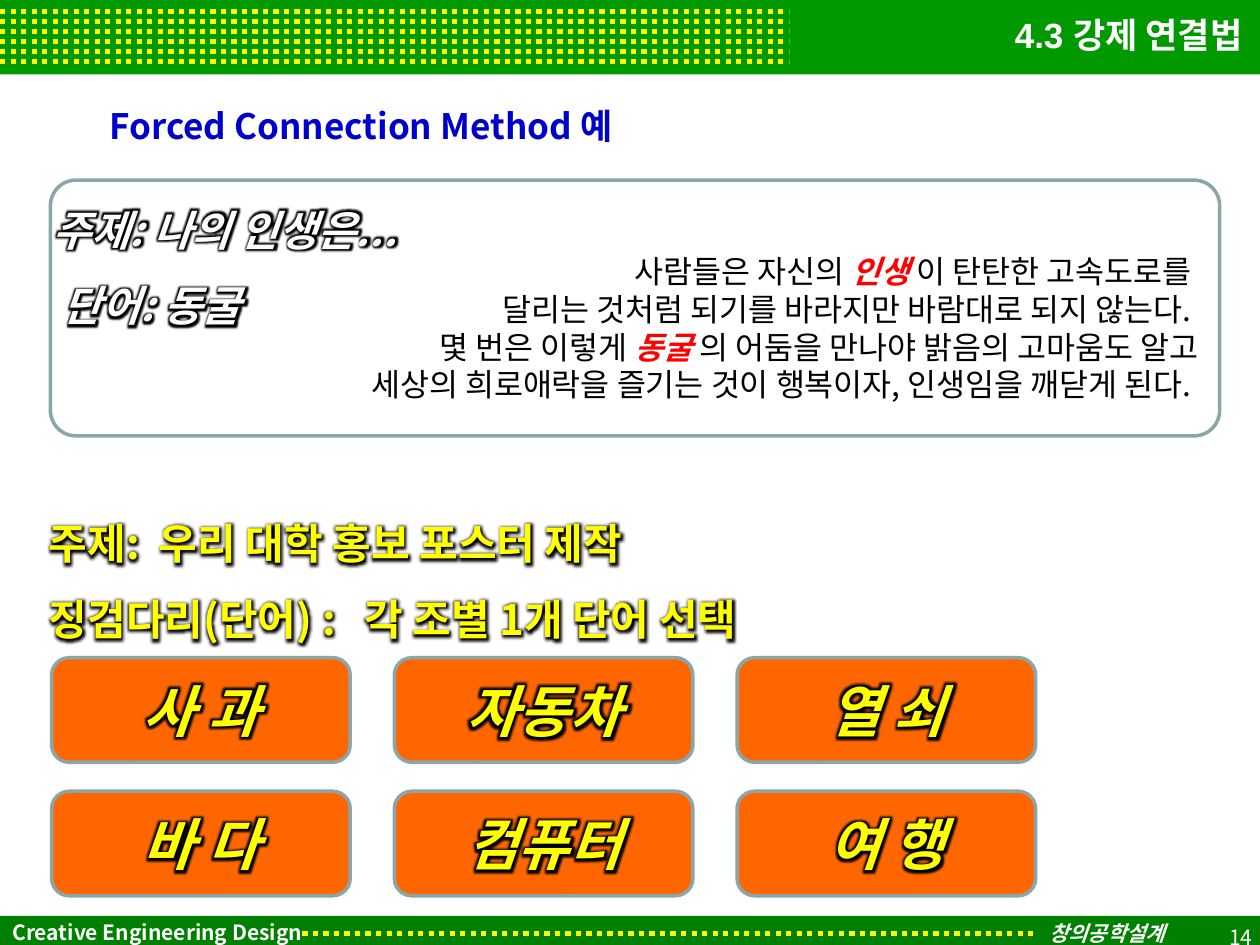
from lxml import etree
from pptx import Presentation
from pptx.dml.color import RGBColor
from pptx.enum import dml, shapes, text
from pptx.oxml import ns
from pptx.util import Inches, Pt

GREEN = RGBColor(0x00, 0x99, 0x00)
DARK = RGBColor(0x00, 0x80, 0x00)
YELLOW = RGBColor(0xFF, 0xFF, 0x00)
WHITE = RGBColor(0xFF, 0xFF, 0xFF)
BLACK = RGBColor(0x00, 0x00, 0x00)
BLUE = RGBColor(0x00, 0x00, 0xCC)
RED = RGBColor(0xFF, 0x00, 0x00)
ORANGE = RGBColor(0xFF, 0x66, 0x00)
GREY = RGBColor(0x8A, 0xA6, 0xA8)
NOTO = "Noto Sans CJK KR"
LEFT, MID, RIGHT = text.PP_ALIGN.LEFT, text.PP_ALIGN.CENTER, text.PP_ALIGN.RIGHT
RECT, ROUND = shapes.MSO_SHAPE.RECTANGLE, shapes.MSO_SHAPE.ROUNDED_RECTANGLE


class Deck:
    def __init__(self, slide, edge=GREY, glow=0.1):
        self.slide, self.edge, self.glow = slide, edge, glow

    def shape(self, kind, box, fill, line=False, adj=None):
        item = self.slide.shapes.add_shape(kind, *map(Inches, box))
        item.shadow.inherit = False
        item.fill.solid()
        item.fill.fore_color.rgb = fill
        if line:
            item.line.color.rgb = self.edge
            item.line.width = Pt(2)
        else:
            item.line.fill.background()
        if adj:
            item.adjustments[0] = adj
        return item

    def dots(self, left, right, y):
        line = self.slide.shapes.add_connector(
            shapes.MSO_CONNECTOR.STRAIGHT, *map(Inches, (left, y, right, y)))
        line.line.color.rgb = YELLOW
        line.line.width = Pt(3)
        line.line.dash_style = dml.MSO_LINE.ROUND_DOT
        etree.SubElement(line.element.spPr, ns.qn("a:effectLst"))

    def label(self, box, *lines, middle=False, **style):
        item = self.slide.shapes.add_textbox(*map(Inches, box))
        self.words(item, *lines, middle=middle, **style)
        return item

    def words(self, item, *lines, size, color, font=NOTO, bold=False, italic=False,
              align=LEFT, space=None, middle=True, glow=False):
        """Fill a shape with lines; a line is a string or a list of (part, is_key)."""
        frame = item.text_frame
        frame.word_wrap = True
        frame.vertical_anchor = text.MSO_ANCHOR.MIDDLE if middle else text.MSO_ANCHOR.TOP
        for i, line in enumerate(lines):
            para = frame.paragraphs[0] if i == 0 else frame.add_paragraph()
            para.alignment = align
            if space:
                para.line_spacing = space
            face = para.font
            face.size, face.bold, face.italic, face.name = Pt(size), bold, italic, font
            face.color.rgb = color
            base = para._p.pPr.find(ns.qn("a:defRPr"))
            etree.SubElement(base, ns.qn("a:ea"), typeface=NOTO)
            for part, key in [(line, False)] if isinstance(line, str) else line:
                run = para.add_run()
                run.text = part
                if key:
                    run.font.color.rgb = RED
                    run.font.bold = run.font.italic = True
                if glow:
                    self.shine(run)

    def shine(self, run):
        """Put a black glow behind a run."""
        effect = etree.SubElement(run._r.get_or_add_rPr(), ns.qn("a:effectLst"))
        halo = etree.SubElement(effect, ns.qn("a:glow"), rad=str(Inches(self.glow)))
        etree.SubElement(halo, ns.qn("a:srgbClr"), val=str(BLACK))


def main():
    show = Presentation()
    show.slide_width, show.slide_height = Inches(10), Inches(7.5)
    deck = Deck(show.slides.add_slide(show.slide_layouts[6]))

    deck.shape(RECT, (0, 0, 10, 0.59), GREEN)
    for row in range(6):
        deck.dots(0, 6.26, 0.09 + 0.08 * row)
    foot = deck.shape(RECT, (0, 7.27, 10, 0.26), DARK)
    deck.words(foot, "Creative Engineering Design", size=12, color=WHITE, bold=True)
    deck.dots(2.4, 8.23, 7.41)
    deck.label((8.23, 7.29, 1.15, 0.23), "창의공학설계", size=12, color=WHITE,
               font="Arial", bold=True, italic=True, middle=True)

    deck.label((0.77, 0.68, 6.75, 0.54), "Forced Connection Method 예",
               size=20, color=BLUE, bold=True, space=1.3)
    deck.label((0.51, 0, 9.45, 0.54), "4.3 강제 연결법", size=20, color=WHITE,
               font="Arial", bold=True, align=RIGHT, middle=True)
    deck.label((7.79, 7.21, 2.25, 0.4), "14", size=12, color=WHITE,
               align=RIGHT, space=1.3, middle=True)

    deck.shape(ROUND, (0.4, 1.43, 9.28, 2.03), WHITE, line=True, adj=0.1)
    deck.label(
        (1.26, 1.95, 8.35, 1.31),
        [("사람들은 자신의 ", False), ("인생 ", True), ("이 탄탄한 고속도로를 ", False)],
        "달리는 것처럼 되기를 바라지만 바람대로 되지 않는다. ",
        [("몇 번은 이렇게 ", False), ("동굴 ", True),
         ("의 어둠을 만나야 밝음의 고마움도 알고", False)],
        "세상의 희로애락을 즐기는 것이 행복이자, 인생임을 깨닫게 된다. ",
        size=18, color=BLACK, align=RIGHT)
    head = dict(size=24, bold=True, space=1.5, glow=True)
    topic = deck.label((0.32, 1.37, 5.5, 1.31), "주제: 나의 인생은...", "단어: 동굴",
                       color=WHITE, italic=True, **head)
    topic.text_frame.paragraphs[1]._p.pPr.set("marL", str(Inches(0.08)))

    grid = [("사 과", "자동차", "열 쇠"), ("바 다", "컴퓨터", "여 행")]
    for r, row in enumerate(grid):
        for c, word in enumerate(row):
            card = deck.shape(ROUND, (0.41 + 2.72 * c, 5.22 + 1.06 * r, 2.37, 0.83),
                              ORANGE, line=True)
            deck.words(card, word, size=32, color=YELLOW, bold=True, italic=True,
                       align=MID, glow=True)
    deck.label((0.29, 3.86, 8.63, 1.31), "주제:  우리 대학 홍보 포스터 제작",
               "징검다리(단어) :   각 조별 1개 단어 선택", color=YELLOW, **head)
    show.save("out.pptx")


if __name__ == "__main__":
    main()
